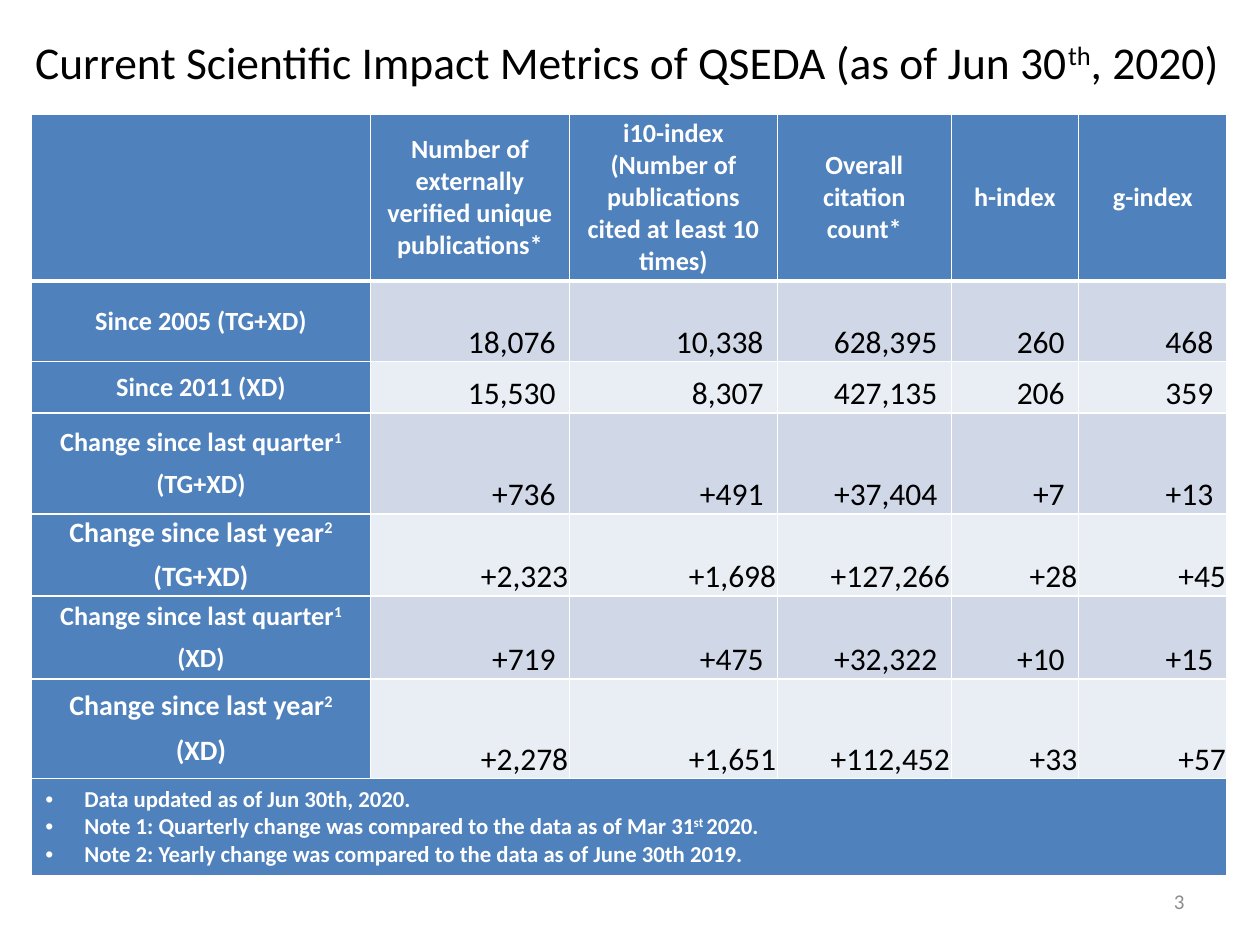
from pptx import Presentation
from pptx.dml.color import RGBColor
from pptx.enum.text import MSO_ANCHOR as Anchor, PP_ALIGN as Align
from pptx.oxml.ns import qn
from pptx.util import Inches, Pt
from lxml.etree import SubElement

COLORS = {
    "blue": "4F81BD",
    "band_dark": "D0D8E8",
    "band_light": "E9EDF4",
    "white": "FFFFFF",
    "black": "000000",
    "grey": "8C8C8C",
}
COLUMN_WIDTHS = [2.69, 1.58, 1.65, 1.38, 1.01, 1.18]
ROW_HEIGHTS = [1.32, 0.64, 0.41, 0.8, 0.65, 0.66, 0.79, 0.77]
HEADINGS = [
    "Number of externally verified unique publications*",
    "i10-index (Number of publications cited at least 10 times)",
    "Overall citation count*",
    "h-index",
    "g-index",
]
METRICS = [
    (["Since 2005 (TG+XD)"], "18,076 10,338 628,395 260 468"),
    (["Since 2011 (XD)"], "15,530 8,307 427,135 206 359"),
    (["Change since last quarter^1", "(TG+XD)"], "+736 +491 +37,404 +7 +13"),
    (["Change since last year^2", "(TG+XD)"], "+2,323 +1,698 +127,266 +28 +45"),
    (["Change since last quarter^1", "(XD)"], "+719 +475 +32,322 +10 +15"),
    (["Change since last year^2", "(XD)"], "+2,278 +1,651 +112,452 +33 +57"),
]
NOTES = [
    "Data updated as of Jun 30th, 2020.",
    "Note 1: Quarterly change was compared to the data as of Mar 31^st ^2020.",
    "Note 2: Yearly change was compared to the data as of June 30th 2019.",
]
WIDE_MARGINS = (0.11, 0, 0.11, 0)
TIGHT_MARGINS = (0.01, 0.01, 0.01, 0)


class SlideBuilder:
    """Holds the style and the current page, and adds each kind of element."""

    font = "Calibri"

    def __init__(self, page):
        self.page = page

    def fill_text(self, frame, lines, size, color, bold=False, align=Align.LEFT, after=0):
        frame.text = "\n".join(line.split("^")[0] for line in lines)
        for para, line in zip(frame.paragraphs, lines):
            for piece in line.split("^")[1:]:
                para.add_run().text = piece
            para.alignment = align
            para.space_after = Pt(after)
            for index, span in enumerate(para.runs):
                span.font.name = self.font
                span.font.size = Pt(size)
                span.font.bold = bold
                span.font.color.rgb = RGBColor.from_string(COLORS[color])
                if index % 2:
                    span.font._element.set("baseline", "30000")

    def text(self, left, top, width, height, line, size, color, align=Align.LEFT):
        box = self.page.shapes.add_textbox(
            Inches(left), Inches(top), Inches(width), Inches(height))
        frame = box.text_frame
        frame.word_wrap = True
        frame.vertical_anchor = Anchor.MIDDLE
        self.fill_text(frame, [line], size, color, align=align)
        return frame

    def table(self, left, top, widths, heights):
        table = self.page.shapes.add_table(
            len(heights), len(widths), Inches(left), Inches(top),
            Inches(sum(widths)), Inches(sum(heights))).table
        for column, width in zip(table.columns, widths):
            column.width = Inches(width)
        for row, height in zip(table.rows, heights):
            row.height = Inches(height)
        return table

    def border(self, cell, top=1, bottom=1):
        properties = cell._tc.get_or_add_tcPr()
        for side, width in zip("LRTB", (1, 1, top, bottom)):
            line = SubElement(properties, qn(f"a:ln{side}"), w=str(Pt(width)))
            fill = SubElement(line, qn("a:solidFill"))
            SubElement(fill, qn("a:srgbClr"), val=COLORS["white"])

    def cell(self, cell, fill, margins=WIDE_MARGINS, anchor=Anchor.MIDDLE):
        cell.fill.solid()
        cell.fill.fore_color.rgb = RGBColor.from_string(COLORS[fill])
        cell.vertical_anchor = anchor
        (cell.margin_left, cell.margin_top,
         cell.margin_right, cell.margin_bottom) = map(Inches, margins)
        return cell.text_frame

    def label(self, cell, lines, size=15):
        frame = self.cell(cell, "blue")
        self.fill_text(frame, lines, size, "white", True, Align.CENTER, 6)

    def value(self, cell, number, fill, tight):
        margins = TIGHT_MARGINS if tight else WIDE_MARGINS
        frame = self.cell(cell, fill, margins, Anchor.BOTTOM)
        self.fill_text(frame, [number], 18, "black", align=Align.RIGHT, after=0 if tight else 6)

    def notes(self, cell, lines):
        frame = self.cell(cell, "blue")
        self.fill_text(frame, lines, 13, "white", bold=True)
        for para in frame.paragraphs:
            properties = para._p.get_or_add_pPr()
            properties.set("marL", str(Inches(0.31)))
            properties.set("indent", str(-Inches(0.31)))
            SubElement(properties, qn("a:buFont"), typeface="Arial")
            SubElement(properties, qn("a:buChar"), char="•")
        frame.paragraphs[-1].space_after = Pt(6)


def main():
    deck = Presentation()
    deck.slide_width, deck.slide_height = Inches(10), Inches(7.5)
    builder = SlideBuilder(deck.slides.add_slide(deck.slide_layouts[6]))

    title = builder.text(0.18, 0.1, 9.75, 0.83,
                         "Current Scientific Impact Metrics of QSEDA (as of Jun 30^th^, 2020)",
                         26, "black")
    title.paragraphs[0].line_spacing = 0.9

    table = builder.table(0.25, 0.91, COLUMN_WIDTHS, ROW_HEIGHTS)
    for row_index, row in enumerate(table.rows):
        for cell in row.cells:
            builder.border(cell, top=3 if row_index == 1 else 1,
                           bottom=3 if row_index == 0 else 1)

    builder.cell(table.cell(0, 0), "blue")
    for column, heading in enumerate(HEADINGS, 1):
        builder.label(table.cell(0, column), [heading])

    for row, (lines, numbers) in enumerate(METRICS, 1):
        yearly = "year" in lines[0]
        builder.label(table.cell(row, 0), lines, 16 if yearly else 15)
        band = "band_dark" if row % 2 else "band_light"
        for column, number in enumerate(numbers.split(), 1):
            builder.value(table.cell(row, column), number, band, yearly)

    footer = table.cell(len(ROW_HEIGHTS) - 1, 0)
    footer.merge(table.cell(len(ROW_HEIGHTS) - 1, len(COLUMN_WIDTHS) - 1))
    builder.notes(footer, NOTES)

    builder.text(7.17, 6.95, 2.33, 0.4, "3", 12, "grey", Align.RIGHT)
    deck.save("out.pptx")


if __name__ == "__main__":
    main()
